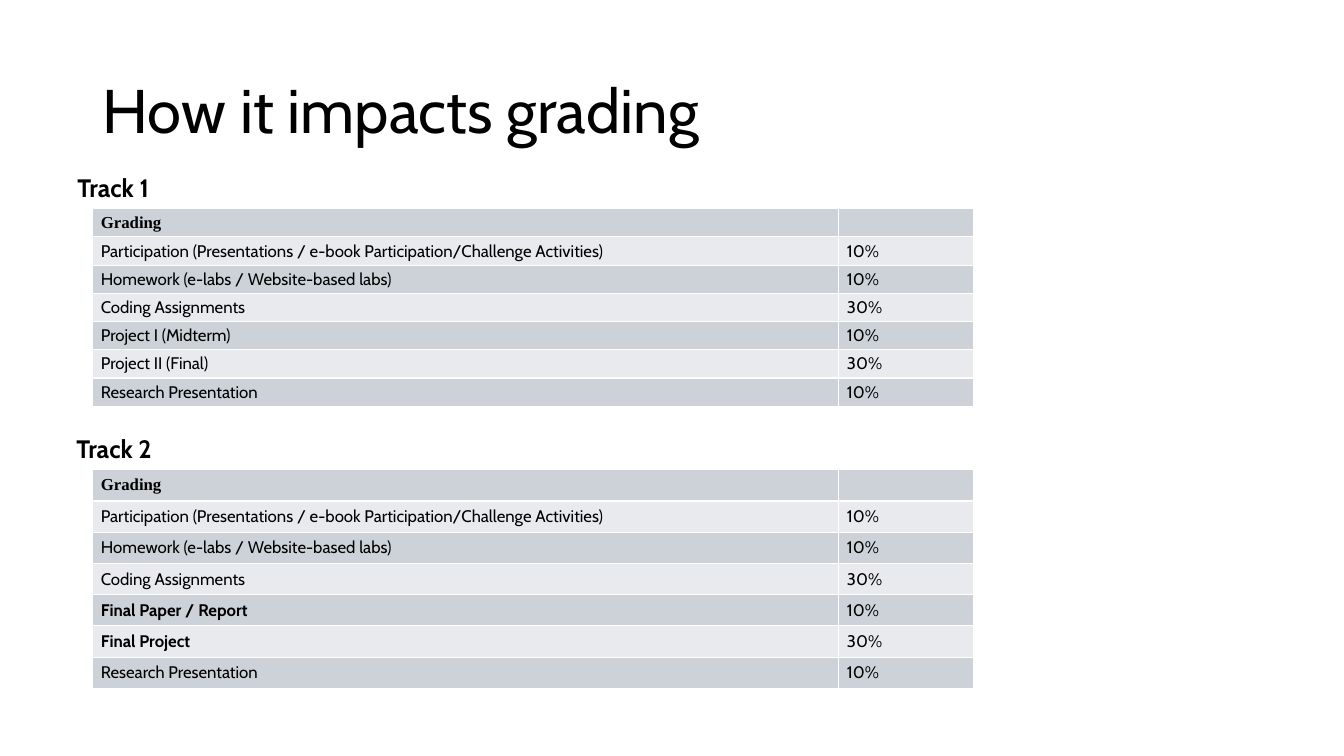
from lxml.etree import SubElement
from pptx import Presentation
from pptx.dml.color import RGBColor
from pptx.enum.text import MSO_ANCHOR, PP_ALIGN
from pptx.oxml.ns import qn
from pptx.util import Inches, Pt

# Content
TITLE = "How it impacts grading"
HEADER = ("Grading", "")
SHARED_ROWS = [
    ("Participation (Presentations / e-book Participation/Challenge Activities)", "10%"),
    ("Homework (e-labs / Website-based labs)", "10%"),
    ("Coding Assignments", "30%"),
]
LAST_ROW = ("Research Presentation", "10%")
TRACKS = [
    {"name": "Track 1", "label": (0.67, 1.66), "top": 2.07, "row": 0.28, "bold": False,
     "own": [("Project I (Midterm)", "10%"), ("Project II (Final)", "30%")]},
    {"name": "Track 2", "label": (0.66, 4.25), "top": 4.66, "row": 0.31, "bold": True,
     "own": [("Final Paper / Report", "10%"), ("Final Project", "30%")]},
]

# Look and grid, in inches
COLORS = {"text": "000000", "dark": "CCD2D8", "light": "E8EAED", "border": "FFFFFF"}
BODY_FONT, HEADER_FONT = "Cabin", "Times New Roman"
TABLE_LEFT, COLUMNS = 0.92, (7.4, 1.34)
MARGIN_X, MARGIN_Y = 0.08, 0.02


def write(frame, text, size=12, font=BODY_FONT, bold=False, spacing=None):
    para = frame.paragraphs[0]
    para.alignment = PP_ALIGN.LEFT
    if spacing:
        para.line_spacing = spacing
    if not text:
        # An empty cell keeps the row low through its end-of-paragraph size
        SubElement(para._p, qn("a:endParaRPr"), sz=str(size * 100))
        return
    span = para.add_run()
    span.text = text
    span.font.size = Pt(size)
    span.font.name = font
    span.font.bold = bold
    span.font.color.rgb = RGBColor.from_string(COLORS["text"])


def style_cell(cell, fill):
    cell.margin_left = cell.margin_right = Inches(MARGIN_X)
    cell.margin_top = cell.margin_bottom = Inches(MARGIN_Y)
    cell.vertical_anchor = MSO_ANCHOR.MIDDLE
    properties = cell._tc.get_or_add_tcPr()
    for side in ("a:lnL", "a:lnR", "a:lnT", "a:lnB"):
        line = SubElement(properties, qn(side), w=str(Pt(1)))
        SubElement(SubElement(line, qn("a:solidFill")), qn("a:srgbClr"), val=COLORS["border"])
    cell.fill.solid()
    cell.fill.fore_color.rgb = RGBColor.from_string(fill)


def add_track(page, track):
    # Grading table
    rows = [HEADER, *SHARED_ROWS, *track["own"], LAST_ROW]
    table = page.shapes.add_table(
        len(rows), len(COLUMNS), Inches(TABLE_LEFT), Inches(track["top"]),
        Inches(sum(COLUMNS)), Inches(track["row"] * len(rows))).table
    table.first_row = table.horz_banding = False
    for column, width in zip(table.columns, COLUMNS):
        column.width = Inches(width)
    for r, row in enumerate(rows):
        table.rows[r].height = Inches(track["row"])
        for c, text in enumerate(row):
            cell = table.cell(r, c)
            style_cell(cell, COLORS["light" if r % 2 else "dark"])
            emphasis = track["bold"] and row in track["own"] and c == 0
            write(cell.text_frame, text, bold=r == 0 or emphasis,
                  font=BODY_FONT if r else HEADER_FONT)

    # Track label
    left, top = track["label"]
    box = page.shapes.add_textbox(Inches(left), Inches(top), Inches(1), Inches(0.4))
    box.text_frame.word_wrap = False
    write(box.text_frame, track["name"], size=18, bold=True)


def main():
    deck = Presentation()
    deck.slide_width, deck.slide_height = Inches(13.33), Inches(7.5)
    page = deck.slides.add_slide(deck.slide_layouts.get_by_name("Title Only"))

    # Title
    title = page.shapes.title
    title.left, title.top = Inches(TABLE_LEFT), Inches(0.4)
    title.width, title.height = Inches(11.5), Inches(1.45)
    title.text_frame.vertical_anchor = MSO_ANCHOR.MIDDLE
    write(title.text_frame, TITLE, size=44, spacing=0.9)

    for track in TRACKS:
        add_track(page, track)
    deck.save("out.pptx")


if __name__ == "__main__":
    main()
